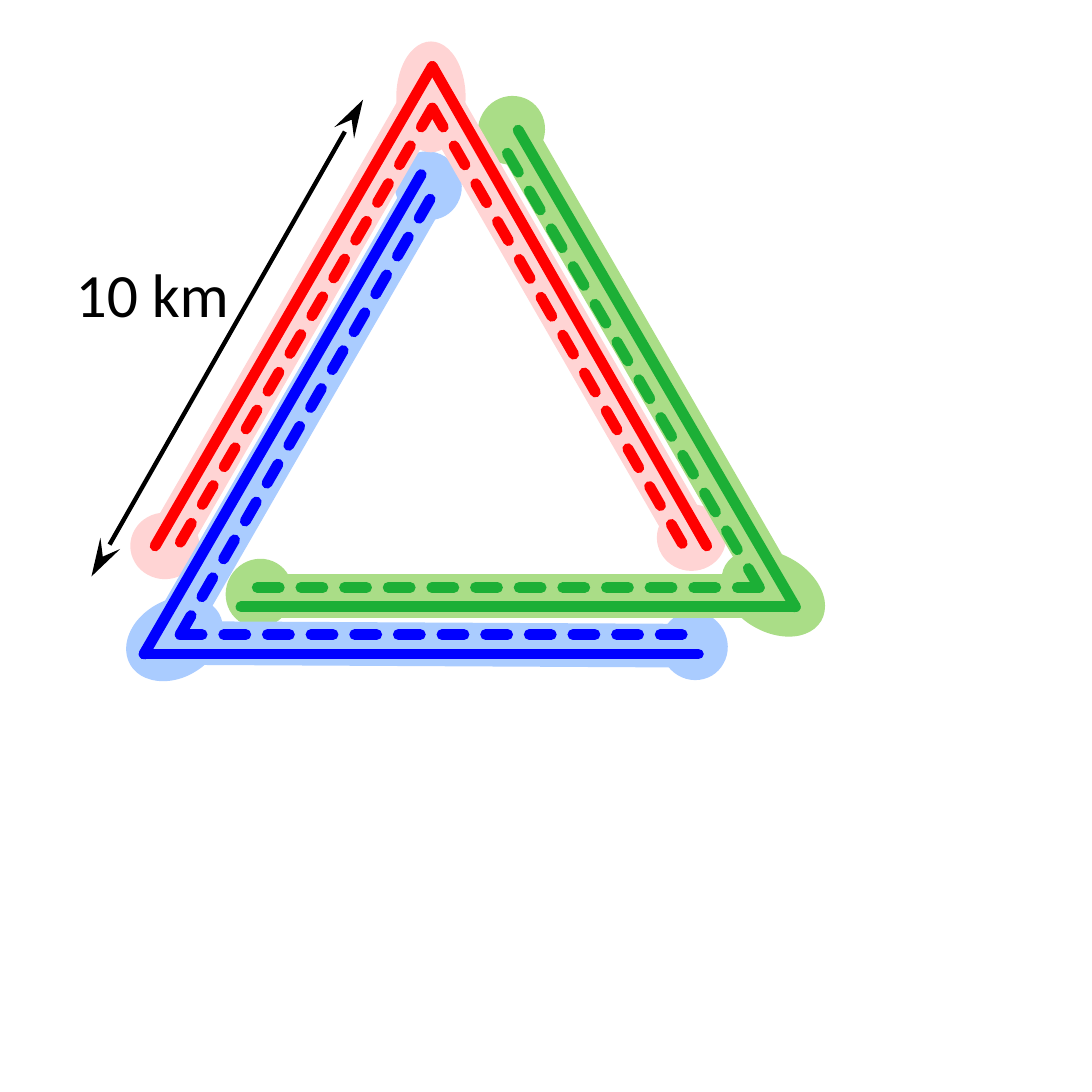
from lxml import etree
from pptx import Presentation
from pptx import util as u
from pptx.dml.color import RGBColor
from pptx.enum import shapes, text
from pptx.oxml import ns

HUES = {
    "pale blue": "AACCFF", "pale green": "AADD87", "pale red": "FFD4D4",
    "blue": "0000FF", "green": "1CAF36", "red": "FF0000", "black": "000000",
}

deck = Presentation()
deck.slide_width = deck.slide_height = u.Inches(3.94)
slide = deck.slides.add_slide(deck.slide_layouts[6])


def add_line(start, end, hue, width, cap="flat", dash=None, arrows=False):
    line = slide.shapes.add_connector(
        shapes.MSO_CONNECTOR.STRAIGHT, *[u.Inches(v) for v in (*start, *end)])
    line.line.color.rgb = RGBColor.from_string(HUES[hue])
    line.line.width = u.Pt(width)
    ln = line.line._get_or_add_ln()
    ln.set("cap", cap)
    if dash:
        etree.SubElement(ln, ns.qn("a:prstDash"), val=dash)
    etree.SubElement(ln, ns.qn("a:round"))
    if arrows:
        for tag in ("a:headEnd", "a:tailEnd"):
            etree.SubElement(ln, ns.qn(tag), type="stealth", w="med", len="lg")
    etree.SubElement(line._element.spPr, ns.qn("a:effectLst"))


# Halos at the corner and the two ends of each pair: left, top, width, height
halos = [
    ("pale blue", 240, [(0.49, 2.12, 0.28, 0.37), (2.38, 2.21, 0.25, 0.24),
                        (1.42, 0.55, 0.25, 0.24)]),
    ("pale green", 120, [(2.65, 1.94, 0.28, 0.4), (1.72, 0.35, 0.25, 0.24),
                         (0.81, 2.02, 0.25, 0.24)]),
    ("pale red", 0, [(1.43, 0.15, 0.25, 0.4), (0.47, 1.85, 0.25, 0.24),
                     (2.37, 1.82, 0.25, 0.24)]),
]
for hue, turn, boxes in halos:
    group = slide.shapes.add_group_shape()
    for box in boxes:
        halo = group.shapes.add_shape(
            shapes.MSO_SHAPE.OVAL, *[u.Inches(v) for v in box])
        halo.rotation = turn
        halo.shadow.inherit = False
        halo.fill.solid()
        halo.fill.fore_color.rgb = RGBColor.from_string(HUES[hue])
        halo.line.fill.background()

# Distance label
label = slide.shapes.add_textbox(
    u.Inches(0.23), u.Inches(0.92), u.Inches(0.64), u.Inches(0.27))
frame = label.text_frame
style = {
    "margin_left": 0, "margin_right": 0, "margin_top": 0, "margin_bottom": 0,
    "word_wrap": False, "vertical_anchor": text.MSO_ANCHOR.BOTTOM,
}
for name, value in style.items():
    setattr(frame, name, value)
para = frame.paragraphs[0]
para.alignment = text.PP_ALIGN.CENTER
run = para.add_run()
run.text = "10 km"
for name, value in {"name": "Calibri", "size": u.Pt(16)}.items():
    setattr(run.font, name, value)
run.font.color.rgb = RGBColor.from_string(HUES["black"])

# Pale bands under the lines
bands = [
    ("pale green", (2.86, 2.15), (0.9, 2.15)),
    ("pale green", (2.84, 2.19), (1.86, 0.49)),
    ("pale red", (1.53, 0.27), (2.51, 1.97)),
    ("pale red", (1.58, 0.27), (0.6, 1.97)),
    ("pale blue", (0.57, 2.37), (1.55, 0.67)),
    ("pale blue", (0.55, 2.32), (2.5, 2.33)),
]
for hue, start, end in bands:
    add_line(start, end, hue, 11.34)

# Solid and dashed arms, two from each corner
arms = [
    ("blue", None, (0.52, 2.36), [(2.52, 2.36), (1.52, 0.63)]),
    ("blue", "sysDash", (0.65, 2.29), [(2.52, 2.29), (1.58, 0.67)]),
    ("green", None, (2.87, 2.19), [(1.87, 0.47), (0.87, 2.19)]),
    ("green", "sysDash", (2.74, 2.12), [(1.8, 0.5), (0.87, 2.12)]),
    ("red", None, (1.56, 0.24), [(0.56, 1.97), (2.55, 1.97)]),
    ("red", "sysDash", (1.56, 0.39), [(0.62, 2.01), (2.49, 2.01)]),
]
for hue, dash, corner, ends in arms:
    for end in ends:
        add_line(corner, end, hue, 2.83, "rnd", dash)

# Distance arrow
add_line((0.33, 2.08), (1.31, 0.36), "black", 1.13, arrows=True)

deck.save("out.pptx")
